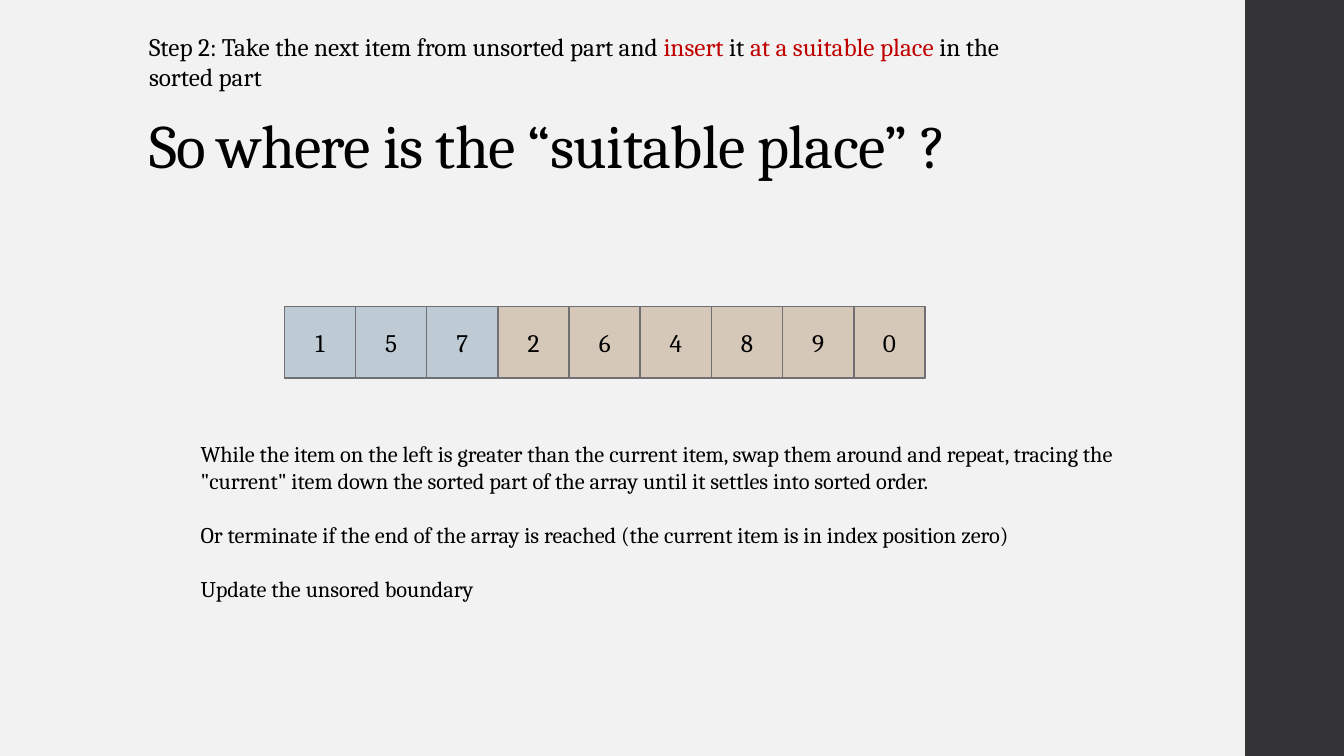
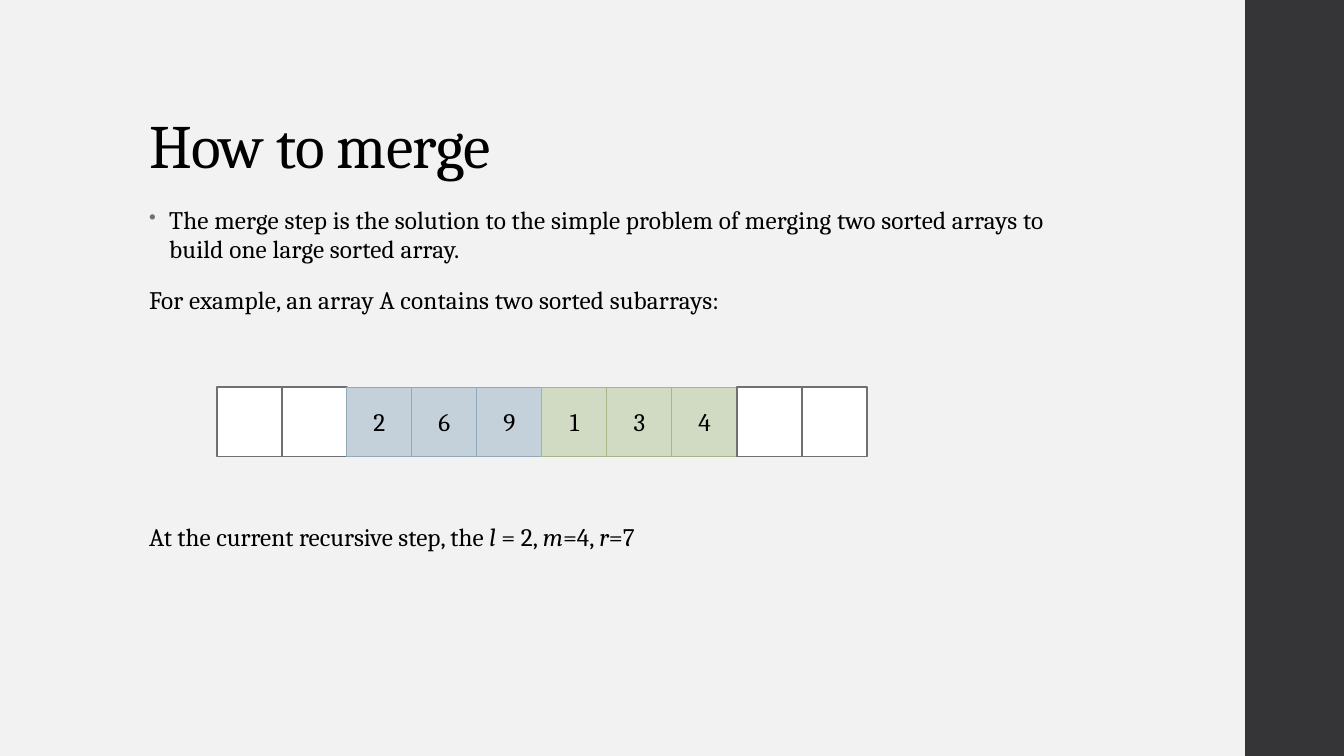
"""Build two slides on insertion sort and merging sorted arrays."""
from dataclasses import dataclass
from typing import Optional

from lxml.etree import SubElement
from pptx import Presentation
from pptx.dml.color import RGBColor
from pptx.enum.shapes import MSO_SHAPE as Preset
from pptx.enum.text import MSO_ANCHOR as Anchor, PP_ALIGN as Align
from pptx.oxml.ns import qn
from pptx.util import Inches, Pt

COLORS = {
    "background": "F2F2F2", "band": "353537", "text": "000000",
    "accent": "C00000", "gray": "6F6F74", "white": "FFFFFF",
    "sorted": "BECBD5", "unsorted": "D5C8B8",
    "left": "C5D1DA", "left_line": "92A9B9",
    "right": "D1DAC2", "right_line": "A7B789",
}
FONT = "Cambria"
MARGIN = 1.38


@dataclass(frozen=True)
class Run:
    text: str
    color: Optional[str] = None
    italic: bool = False


@dataclass(frozen=True)
class Line:
    runs: tuple[Run, ...]
    size: float = 18
    line_spacing: float = 1.0
    before: float = 0
    after: float = 0
    tracking: float = 0
    bullet: bool = False


@dataclass(frozen=True)
class CellStyle:
    fill: str
    line: str = "gray"
    line_width: float = 1.1


@dataclass(frozen=True)
class Cell:
    text: str
    style: CellStyle


@dataclass(frozen=True)
class Row:
    left: float
    top: float
    pitch: float
    height: float
    preset: Preset
    cells: tuple[Cell, ...]


def rgb(name: str) -> RGBColor:
    return RGBColor.from_string(COLORS[name])


def add_bullet(paragraph) -> None:
    properties = paragraph._p.get_or_add_pPr()
    properties.set("marL", str(Inches(0.2)))
    properties.set("indent", str(Inches(-0.2)))
    color = SubElement(properties, qn("a:buClr"))
    SubElement(color, qn("a:srgbClr"), val=COLORS["gray"])
    SubElement(properties, qn("a:buSzPct"), val="80000")
    SubElement(properties, qn("a:buChar"), char="•")


def style_font(paragraph, size: float, tracking: float = 0) -> None:
    font = paragraph.font
    font.name, font.size = FONT, Pt(size)
    font.color.rgb = rgb("text")
    if tracking:
        paragraph._p.pPr.find(qn("a:defRPr")).set("spc", str(round(tracking * 100)))


def write_line(paragraph, line: Line) -> None:
    if line.bullet:
        add_bullet(paragraph)
    paragraph.line_spacing = line.line_spacing
    paragraph.space_before, paragraph.space_after = Pt(line.before), Pt(line.after)
    style_font(paragraph, line.size, line.tracking)
    for part in line.runs:
        run = paragraph.add_run()
        run.text = part.text
        if part.color:
            run.font.color.rgb = rgb(part.color)
        if part.italic:
            run.font.italic = True


def add_text(slide, left: float, top: float, width: float, height: float,
             *lines: Line, anchor: Anchor = Anchor.TOP, wrap: bool = True) -> None:
    box = slide.shapes.add_textbox(Inches(left), Inches(top), Inches(width), Inches(height))
    frame = box.text_frame
    frame.word_wrap, frame.vertical_anchor = wrap, anchor
    for index, line in enumerate(lines):
        write_line(frame.add_paragraph() if index else frame.paragraphs[0], line)


def add_box(slide, preset: Preset, left: float, top: float, width: float, height: float, fill: str):
    shape = slide.shapes.add_shape(preset, Inches(left), Inches(top), Inches(width), Inches(height))
    shape.shadow.inherit = False
    shape.fill.solid()
    shape.fill.fore_color.rgb = rgb(fill)
    return shape


def add_row(slide, row: Row) -> None:
    for index, cell in enumerate(row.cells):
        left = row.left + index * row.pitch
        shape = add_box(slide, row.preset, left, row.top, row.pitch, row.height, cell.style.fill)
        shape.line.color.rgb = rgb(cell.style.line)
        shape.line.width = Pt(cell.style.line_width)
        if cell.text:
            frame = shape.text_frame
            frame.vertical_anchor = Anchor.MIDDLE
            paragraph = frame.paragraphs[0]
            paragraph.text, paragraph.alignment = cell.text, Align.CENTER
            style_font(paragraph, 18)


def cells(values: str, style: CellStyle) -> tuple[Cell, ...]:
    return tuple(Cell(value.strip(), style) for value in values)


def add_slide(presentation, title: str):
    slide = presentation.slides.add_slide(presentation.slide_layouts[6])
    slide.background.fill.solid()
    slide.background.fill.fore_color.rgb = rgb("background")
    band = add_box(slide, Preset.RECTANGLE, 12.35, 0, 0.98, 7.5, "band")
    band.line.fill.background()
    heading = Line((Run(title),), size=44, line_spacing=0.9, tracking=-0.5)
    add_text(slide, MARGIN, 0.98, 10.6, 0.87, heading, anchor=Anchor.BOTTOM)
    return slide


def build_insertion(presentation) -> None:
    slide = add_slide(presentation, "So where is the “suitable place” ?")
    steps = (
        "While the item on the left is greater than the current item, swap them around and repeat, "
        "tracing the \"current\" item down the sorted part of the array until it settles into sorted order.",
        "Or terminate if the end of the array is reached (the current item is in index position zero)",
        "Update the unsored boundary",
    )
    add_text(slide, 1.89, 4.32, 9.62, 2.33,
             *(Line((Run(step),), size=16, before=19.3 if index else 0)
               for index, step in enumerate(steps)))
    add_row(slide, Row(2.82, 3.04, 0.706, 0.71, Preset.RECTANGLE,
                       cells("157", CellStyle("sorted")) + cells("264890", CellStyle("unsorted"))))
    add_text(slide, MARGIN, 0.26, 9.26, 0.71, Line((
        Run("Step 2: Take the next item from unsorted part and "), Run("insert", "accent"),
        Run(" it "), Run("at a suitable place", "accent"), Run(" in the sorted part"))))


def build_merge(presentation) -> None:
    slide = add_slide(presentation, "How to merge")
    add_text(slide, MARGIN, 2, 9.4, 1.59,
             Line((Run("The merge step is the solution to the simple problem of merging "
                       "two sorted arrays to build one large sorted array."),),
                  line_spacing=0.95, after=2, tracking=0.1, bullet=True),
             Line((Run("For example, an array A contains two sorted subarrays:"),),
                  line_spacing=0.95, before=14, after=2, tracking=0.1))
    outside = cells("  ", CellStyle("white"))
    add_row(slide, Row(2.15, 3.84, 0.645, 0.69, Preset.FLOWCHART_PROCESS,
                       outside + cells("269", CellStyle("left", "left_line", 0.75))
                       + cells("134", CellStyle("right", "right_line", 0.75)) + outside))
    add_text(slide, MARGIN, 5.12, 5.88, 0.4, Line((
        Run("At the current recursive step, the "), Run("l", italic=True), Run(" = 2, "),
        Run("m", italic=True), Run("=4, "), Run("r", italic=True), Run("=7"))), wrap=False)


def main() -> None:
    presentation = Presentation()
    presentation.slide_width, presentation.slide_height = Inches(13.33), Inches(7.5)
    build_insertion(presentation)
    build_merge(presentation)
    presentation.save("out.pptx")


if __name__ == "__main__":
    main()
